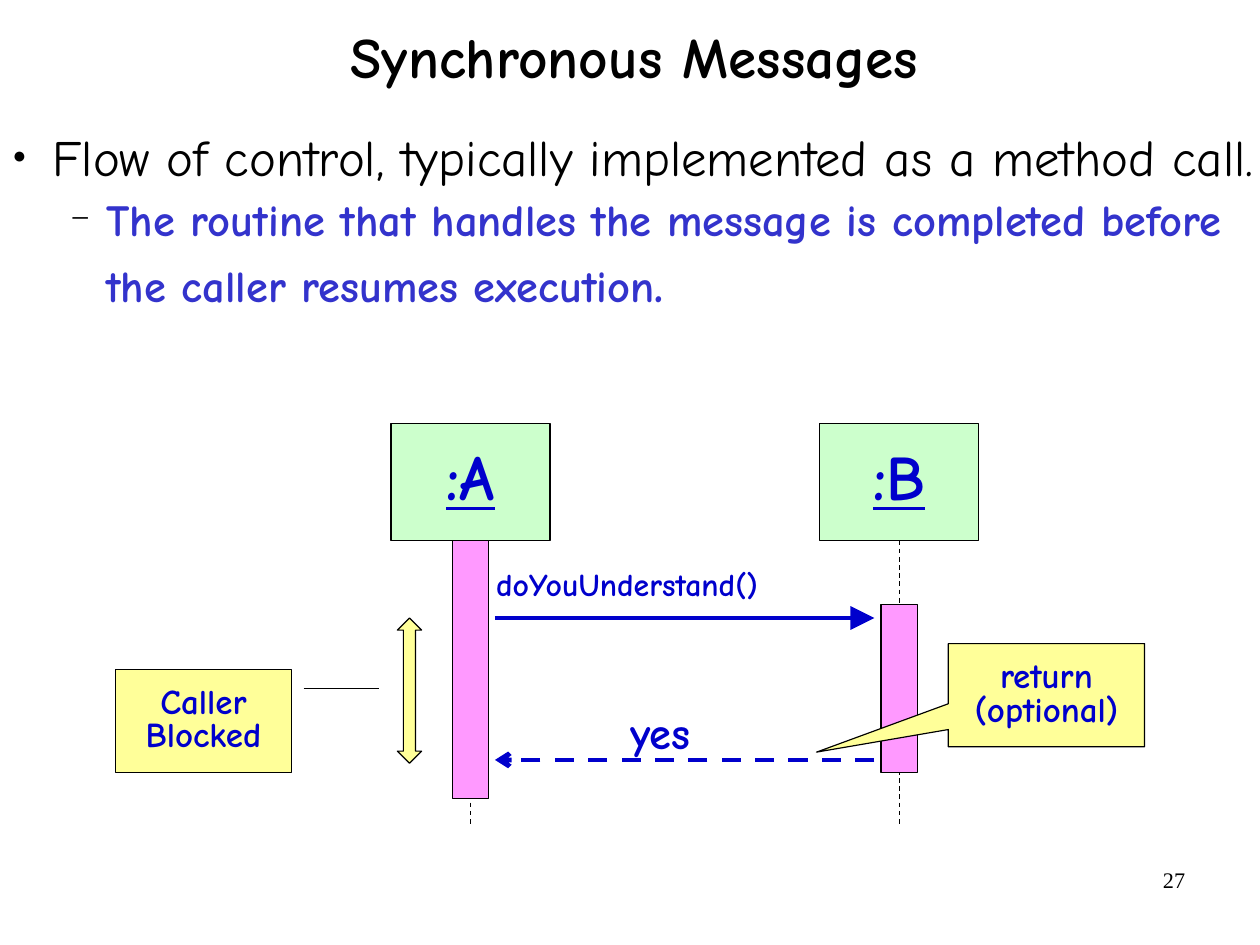
import pptx
import pptx.util
import pptx.dml.color
import pptx.enum.dml
import pptx.enum.shapes
import pptx.enum.text
import lxml.etree
from pptx.oxml.ns import qn

Pt = pptx.util.Pt
RGB = pptx.dml.color.RGBColor.from_string
SHAPE = pptx.enum.shapes.MSO_SHAPE
ALIGN = pptx.enum.text.PP_ALIGN
MIDDLE = pptx.enum.text.MSO_ANCHOR.MIDDLE
DASH = pptx.enum.dml.MSO_LINE.DASH

THEME = {
    "font": "Comic Neue", "plain font": "Times New Roman",
    "ink": RGB("000000"), "accent": RGB("3333CC"), "message": RGB("0000CC"),
    "object": RGB("CCFFCC"), "activation": RGB("FF99FF"), "note": RGB("FFFF99"),
    "title": 36, "bullet": 32, "sub bullet": 28, "object name": 40,
    "note text": 22, "call": 20, "reply": 28, "number": 14,
}


def set_all(target, **values):
    for name, value in values.items():
        setattr(target, name, value)


def add_span(para, text, size, color, **font):
    span = para.add_run()
    span.text = text
    set_all(span.font, **{"name": THEME["font"], "size": Pt(THEME[size]), **font})
    span.font.color.rgb = THEME[color]


deck = pptx.Presentation()
set_all(deck, slide_width=Pt(793.7), slide_height=Pt(595.28))
page = deck.slides.add_slide(deck.slide_layouts[1])
title, body = page.placeholders
no_margins = dict.fromkeys(("margin_left", "margin_top", "margin_right", "margin_bottom"), 0)
label_margins = dict(margin_left=Pt(7.9), margin_right=Pt(7.9), margin_top=Pt(4.3), margin_bottom=Pt(4.3))

# Title and bullets
for holder, (left, top, width, height) in (
    (title, (61.2, -11.5, 676.8, 98.6)),
    (body, (0, 75.4, 793.7, 450)),
):
    set_all(holder, left=Pt(left), top=Pt(top), width=Pt(width), height=Pt(height))
    set_all(holder.text_frame, word_wrap=True,
            auto_size=pptx.enum.text.MSO_AUTO_SIZE.NONE, **no_margins)

title.text_frame.vertical_anchor = MIDDLE
para = title.text_frame.paragraphs[0]
set_all(para, alignment=ALIGN.CENTER, line_spacing=0.88)
add_span(para, "Synchronous Messages", "title", "ink", bold=True)

flow = body.text_frame.paragraphs[0]
add_span(flow, "Flow of control, typically implemented as a method call.", "bullet", "ink")
routine = body.text_frame.add_paragraph()
add_span(routine, "The routine that handles the message is completed before "
         "the caller resumes execution", "sub bullet", "accent", bold=True)
add_span(routine, ".", "bullet", "accent", bold=True)

for para, level, margin, indent, after, mark, percent in (
    (flow, 0, 33.1, -25.2, 0, "●", 45),
    (routine, 1, 67, -22.3, 10.9, "−", 75),
):
    set_all(para, level=level, line_spacing=1.1, space_before=Pt(0), space_after=Pt(after))
    props = para._p.get_or_add_pPr()
    props.set("marL", str(Pt(margin)))
    props.set("indent", str(Pt(indent)))
    bullet_color = lxml.etree.SubElement(props, qn("a:buClr"))
    lxml.etree.SubElement(bullet_color, qn("a:srgbClr"), val=str(THEME["ink"]))
    lxml.etree.SubElement(props, qn("a:buSzPct"), val=str(percent * 1000))
    lxml.etree.SubElement(props, qn("a:buFont"), typeface=THEME["plain font"])
    lxml.etree.SubElement(props, qn("a:buChar"), char=mark)

# Lifelines and messages
axis_a, axis_b = 296.4, 566.4
head_top, head_width, head_height = 266.9, 100.2, 73.6
head_bottom = head_top + head_height
life_end = 519.6
near_a, near_b = 311.8, 550.8
call_y, reply_y = 389.3, 478.7
lines = []
for x1, y1, x2, y2, color, width, dash, arrow, arrow_size in (
    (axis_a, head_bottom, axis_a, life_end, "ink", 0.75, DASH, None, None),
    (axis_b, head_bottom, axis_b, life_end, "ink", 0.75, DASH, None, None),
    (near_a, call_y, near_b, call_y, "message", 3, None, "triangle", "lg"),
    (near_b, reply_y, near_a, reply_y, "message", 3, DASH, "arrow", "med"),
):
    line = page.shapes.add_connector(
        pptx.enum.shapes.MSO_CONNECTOR.STRAIGHT, Pt(x1), Pt(y1), Pt(x2), Pt(y2))
    line.line.color.rgb = THEME[color]
    set_all(line.line, width=Pt(width), dash_style=dash)
    if arrow:
        lxml.etree.SubElement(line.line._get_or_add_ln(), qn("a:tailEnd"),
                              type=arrow, w=arrow_size, len=arrow_size)
    lxml.etree.SubElement(line._element.spPr, qn("a:effectLst"))
    lines.append(line)

# Objects, activations and notes
bar_width = 23
heads = []
for preset, left, top, width, height, fill, adjustments, text in (
    (SHAPE.RECTANGLE, axis_a - head_width / 2, head_top, head_width, head_height, "object", (), ":A"),
    (SHAPE.RECTANGLE, axis_b - head_width / 2, head_top, head_width, head_height, "object", (), ":B"),
    (SHAPE.RECTANGLE, axis_a - bar_width / 2, head_bottom, bar_width, 162.7, "activation", (), ""),
    (SHAPE.RECTANGLE, axis_b - bar_width / 2, 380.7, bar_width, 106, "activation", (), ""),
    (SHAPE.UP_DOWN_ARROW, 250.3, call_y, 15.3, 91.5, "note", (1.125, 0.5), ""),
    (SHAPE.LINE_CALLOUT_1, 72.7, 421.7, 110.9, 65, "note", (0.188, 1.07, 0.188, 1.496), "Caller Blocked"),
    (SHAPE.RECTANGULAR_CALLOUT, 597.4, 405.4, 123.6, 65, "note", (-1.172, 0.552), "return (optional)"),
):
    box = page.shapes.add_shape(preset, Pt(left), Pt(top), Pt(width), Pt(height))
    box.shadow.inherit = False
    box.fill.solid()
    box.fill.fore_color.rgb = THEME[fill]
    box.line.color.rgb = THEME["ink"]
    box.line.width = Pt(0.75)
    for index, value in enumerate(adjustments):
        box.adjustments[index] = value
    if text:
        is_head = fill == "object"
        set_all(box.text_frame, word_wrap=True, vertical_anchor=MIDDLE, **label_margins)
        para = box.text_frame.paragraphs[0]
        set_all(para, alignment=ALIGN.CENTER, line_spacing=0.8)
        add_span(para, text, "object name" if is_head else "note text", "message",
                 bold=True, underline=is_head)
        if is_head:
            heads.append(box)

for lifeline, head in zip(lines, heads):
    lifeline.begin_connect(head, 2)

# Message labels and page number
message_font = dict(bold=True)
for text, left, top, width, height, size, color, align, spacing, font in (
    ("doYouUnderstand()", 304.6, 356, 198.7, 27.4, "call", "message", ALIGN.LEFT, 0.8, message_font),
    ("yes", 389, 446, 60.5, 34.6, "reply", "message", ALIGN.LEFT, 0.8, message_font),
    ("27", 569.5, 541.2, 185, 41, "number", "ink", ALIGN.RIGHT, 1.0, dict(name=THEME["plain font"])),
):
    box = page.shapes.add_textbox(Pt(left), Pt(top), Pt(width), Pt(height))
    set_all(box.text_frame, word_wrap=True, **label_margins)
    para = box.text_frame.paragraphs[0]
    set_all(para, alignment=align, line_spacing=spacing)
    add_span(para, text, size, color, **font)

deck.save("out.pptx")
